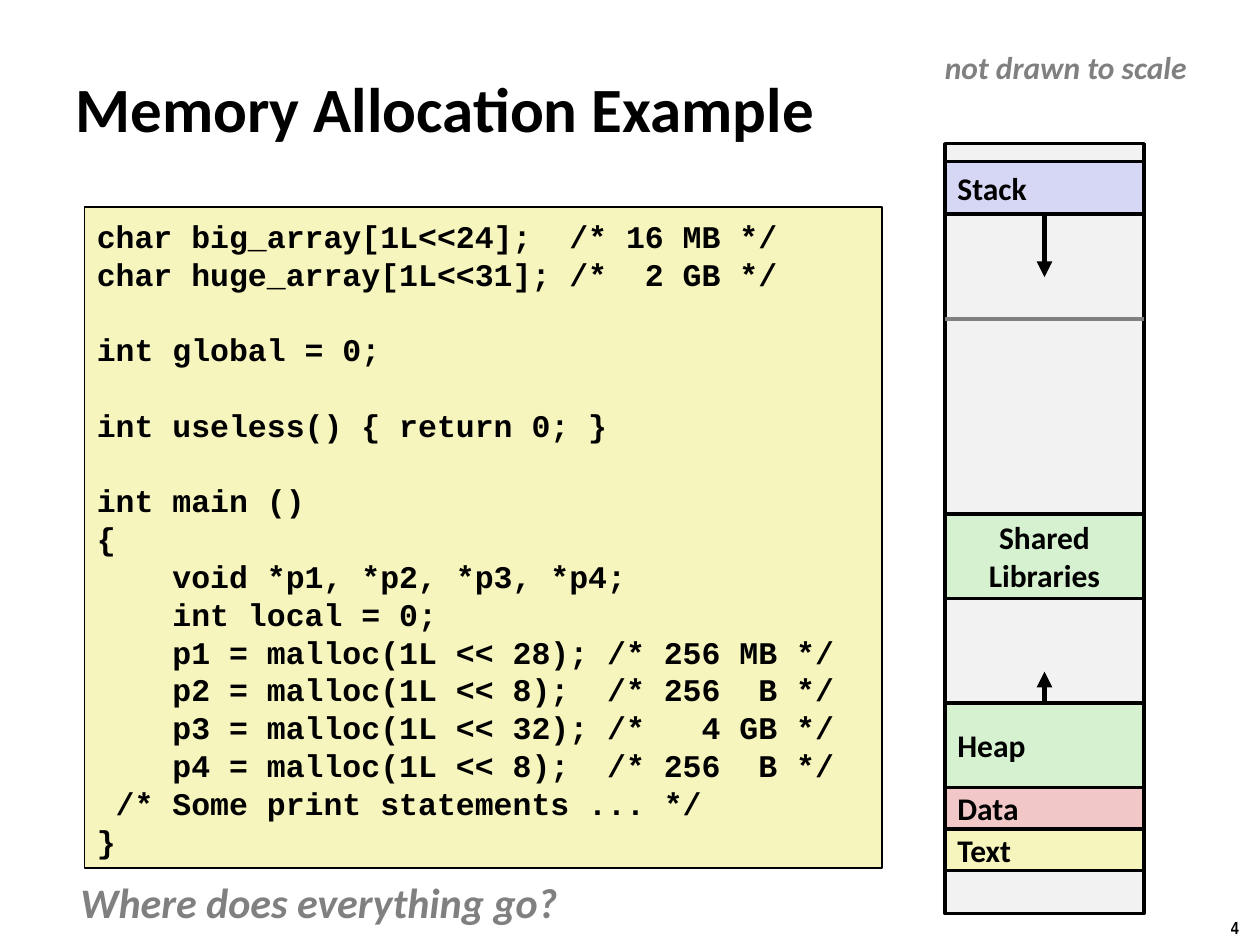
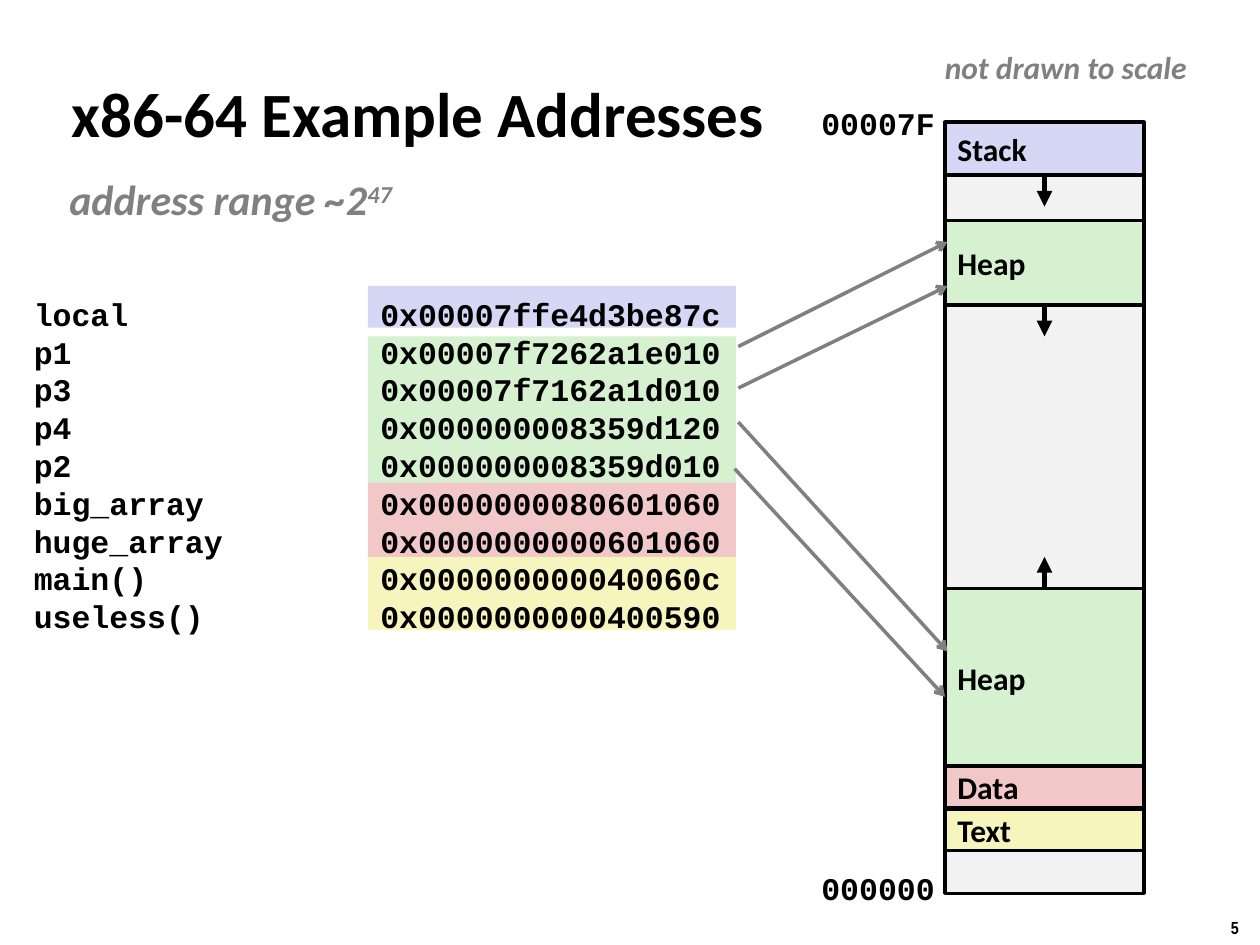
from pptx import Presentation
from pptx.dml.color import RGBColor
from pptx.enum.shapes import MSO_CONNECTOR as Link, MSO_SHAPE as Form
from pptx.enum.text import MSO_ANCHOR as Anchor, PP_ALIGN as Align
from pptx.oxml.ns import qn
from pptx.util import Inches, Pt
from lxml.etree import SubElement

# Shared colours and text styles
BLACK, GRAY, PALE = "000000", "808080", "F2F2F2"
BLUE, GREEN, RED, YELLOW = "D6D6F5", "D5F1CF", "F1C7C7", "F6F5BD"
TITLE = dict(name="Calibri", size=Pt(36), bold=True)
LABEL = dict(name="Calibri", size=Pt(18), bold=True)
NOTE = dict(LABEL, italic=True)
ASIDE = dict(NOTE, size=Pt(24))
CODE = dict(name="Courier New", size=Pt(18), bold=True)
PAGE = dict(name="Arial Narrow", size=Pt(10), bold=True)
PITCH = Pt(21.6)  # height of one code line

# Memory column: left edge, width and full height
LEFT, WIDE, TALL = 7.5, 1.58, 6.11
MID = LEFT + WIDE / 2

SOURCE = """char big_array[1L<<24];  /* 16 MB */
char huge_array[1L<<31]; /*  2 GB */

int global = 0;

int useless() { return 0; }

int main ()
{
    void *p1, *p2, *p3, *p4;
    int local = 0;
    p1 = malloc(1L << 28); /* 256 MB */
    p2 = malloc(1L << 8);  /* 256  B */
    p3 = malloc(1L << 32); /*   4 GB */
    p4 = malloc(1L << 8);  /* 256  B */
 /* Some print statements ... */
}"""

ADDRESSES = [
    ("local", "0x00007ffe4d3be87c"),
    ("p1", "0x00007f7262a1e010"),
    ("p3", "0x00007f7162a1d010"),
    ("p4", "0x000000008359d120"),
    ("p2", "0x000000008359d010"),
    ("big_array", "0x0000000080601060"),
    ("huge_array", "0x0000000000601060"),
    ("main()", "0x000000000040060c"),
    ("useless()", "0x0000000000400590"),
]


def paint(hue):
    return RGBColor.from_string(hue)


def inches(box):
    return [Inches(n) for n in box]


def style(run, form, hue=BLACK):
    for key, value in form.items():
        setattr(run.font, key, value)
    run.font.color.rgb = paint(hue)


def write(frame, lines, form, hue=BLACK, align=Align.LEFT):
    """Fill a frame, one paragraph a line."""
    for i, line in enumerate(lines):
        para = frame.add_paragraph() if i else frame.paragraphs[0]
        para.alignment = align
        run = para.add_run()
        run.text = line
        style(run, form, hue)


def label(slide, box, text, form, hue=BLACK, wrap=False):
    frame = slide.shapes.add_textbox(*inches(box)).text_frame
    frame.word_wrap = wrap
    write(frame, [text], form, hue)
    return frame


def rect(slide, box, fill, line=None):
    shape = slide.shapes.add_shape(Form.RECTANGLE, *inches(box))
    shape.shadow.inherit = False
    shape.fill.solid()
    shape.fill.fore_color.rgb = paint(fill)
    if line:
        shape.line.color.rgb = paint(BLACK)
        shape.line.width = Pt(line)
    else:
        shape.line.fill.background()
    return shape


def stroke(slide, start, end, hue=BLACK, width=3, head=None):
    line = slide.shapes.add_connector(Link.STRAIGHT, *inches(start + end))
    line.line.color.rgb = paint(hue)
    line.line.width = Pt(width)
    props = line._element.spPr
    if head:
        SubElement(props.find(qn("a:ln")), qn("a:tailEnd"), type=head)
    SubElement(props, qn("a:effectLst"))


def space(frame):
    """Set the line pitch of code text."""
    frame.word_wrap = True
    frame.margin_top = Inches(0.08)
    for para in frame.paragraphs:
        para.line_spacing = PITCH


def base(deck, title, box, page):
    """Slide with its title, scale note and page number."""
    slide = deck.slides.add_slide(deck.slide_layouts[6])
    frame = label(slide, box, title, TITLE, wrap=True)
    frame.vertical_anchor = Anchor.MIDDLE
    label(slide, (7.4, 0.33, 2.13, 0.4), "not drawn to scale", NOTE, GRAY)
    label(slide, (9.67, 7.23, 0.34, 0.27), str(page), PAGE)
    return slide


def memory(slide, top, blocks, arrows):
    """Column of memory blocks, with arrows for growth."""
    rect(slide, (LEFT, top, WIDE, TALL), PALE, 2)
    for start, end in arrows:
        stroke(slide, (MID, start), (MID, end), head="triangle")
    for text, y, high, fill in blocks:
        frame = rect(slide, (LEFT, y, WIDE, high), fill, 2).text_frame
        frame.word_wrap = True
        frame.vertical_anchor = Anchor.MIDDLE
        lines = text.split("\n")
        align = Align.CENTER if len(lines) > 1 else Align.LEFT
        write(frame, lines, LABEL, align=align)


def listing(slide, box):
    """Source code panel; an empty line becomes space before the next."""
    frame = rect(slide, box, YELLOW, 1).text_frame
    frame.vertical_anchor = Anchor.TOP
    lines = SOURCE.split("\n")
    write(frame, [line for line in lines if line], CODE)
    space(frame)
    after = [not prev for prev, line in zip(["-"] + lines, lines) if line]
    for para, gap in zip(frame.paragraphs, after):
        if gap:
            para.space_before = PITCH


def table(slide, box):
    """Names and addresses over bands in the colour of their region."""
    left, top = box[:2]
    bands = [(0.01, 0.33, BLUE), (0.41, 1.17, GREEN),
             (1.57, 0.59, RED), (2.16, 0.58, YELLOW)]
    for y, high, fill in bands:
        rect(slide, (left + 2.75, top + y, 2.92, high), fill)
    frame = slide.shapes.add_textbox(*inches(box)).text_frame
    write(frame, ["\t".join(row) for row in ADDRESSES], CODE)
    space(frame)
    for para in frame.paragraphs:
        tabs = SubElement(para._p.get_or_add_pPr(), qn("a:tabLst"))
        SubElement(tabs, qn("a:tab"), pos=str(Inches(2.75)), algn="l")


def example(deck):
    slide = base(deck, "Memory Allocation Example", (0.5, 0.54, 7.49, 0.63), 4)
    listing(slide, (0.67, 1.64, 6.33, 5.25))
    label(slide, (0.54, 6.91, 4.02, 0.51), "Where does everything go?",
          ASIDE, GRAY)
    memory(slide, 1.14, [
        ("Stack", 1.28, 0.42, BLUE),
        ("Shared\nLibraries", 4.08, 0.67, GREEN),
        ("Heap", 5.58, 0.67, GREEN),
        ("Data", 6.25, 0.33, RED),
        ("Text", 6.58, 0.33, YELLOW),
    ], [(1.7, 2.2), (5.58, 5.33)])
    # Stack limit
    stroke(slide, (LEFT, 2.53), (LEFT + WIDE, 2.53), GRAY, 2)


def places(deck):
    slide = base(deck, "x86-64 Example Addresses", (0.47, 0.58, 7.19, 0.63), 5)
    table(slide, (0.17, 2.26, 6.17, 2.82))
    # Range, with a raised exponent
    frame = label(slide, (0.5, 1.33, 2.71, 0.51), "address range ~2",
                  ASIDE, GRAY)
    frame.margin_left = frame.margin_right = Inches(0.05)
    power = frame.paragraphs[0].add_run()
    power.text = "47"
    style(power, ASIDE, GRAY)
    power._r.get_or_add_rPr().set("baseline", "30000")
    # Ends of the address range
    for y, text in [(0.78, "00007F"), (6.85, "000000")]:
        label(slide, (6.42, y, 1.11, 0.4), text, CODE)
    memory(slide, 0.98, [
        ("Stack", 0.97, 0.42, BLUE),
        ("Heap", 1.75, 0.67, GREEN),
        ("Heap", 4.67, 1.42, GREEN),
        ("Data", 6.08, 0.33, RED),
        ("Text", 6.42, 0.33, YELLOW),
    ], [(1.14, 1.64), (2.42, 2.67), (4.67, 4.42)])
    # Pointers into the heaps
    for start, end in [((5.86, 2.75), (7.52, 1.92)),
                       ((5.86, 3.08), (7.52, 2.27)),
                       ((5.86, 3.35), (7.52, 5.17)),
                       ((5.83, 3.72), (7.5, 5.53))]:
        stroke(slide, start, end, GRAY, 2, "arrow")


deck = Presentation()
deck.slide_width, deck.slide_height = Inches(10), Inches(7.5)
example(deck)
places(deck)
deck.save("out.pptx")
